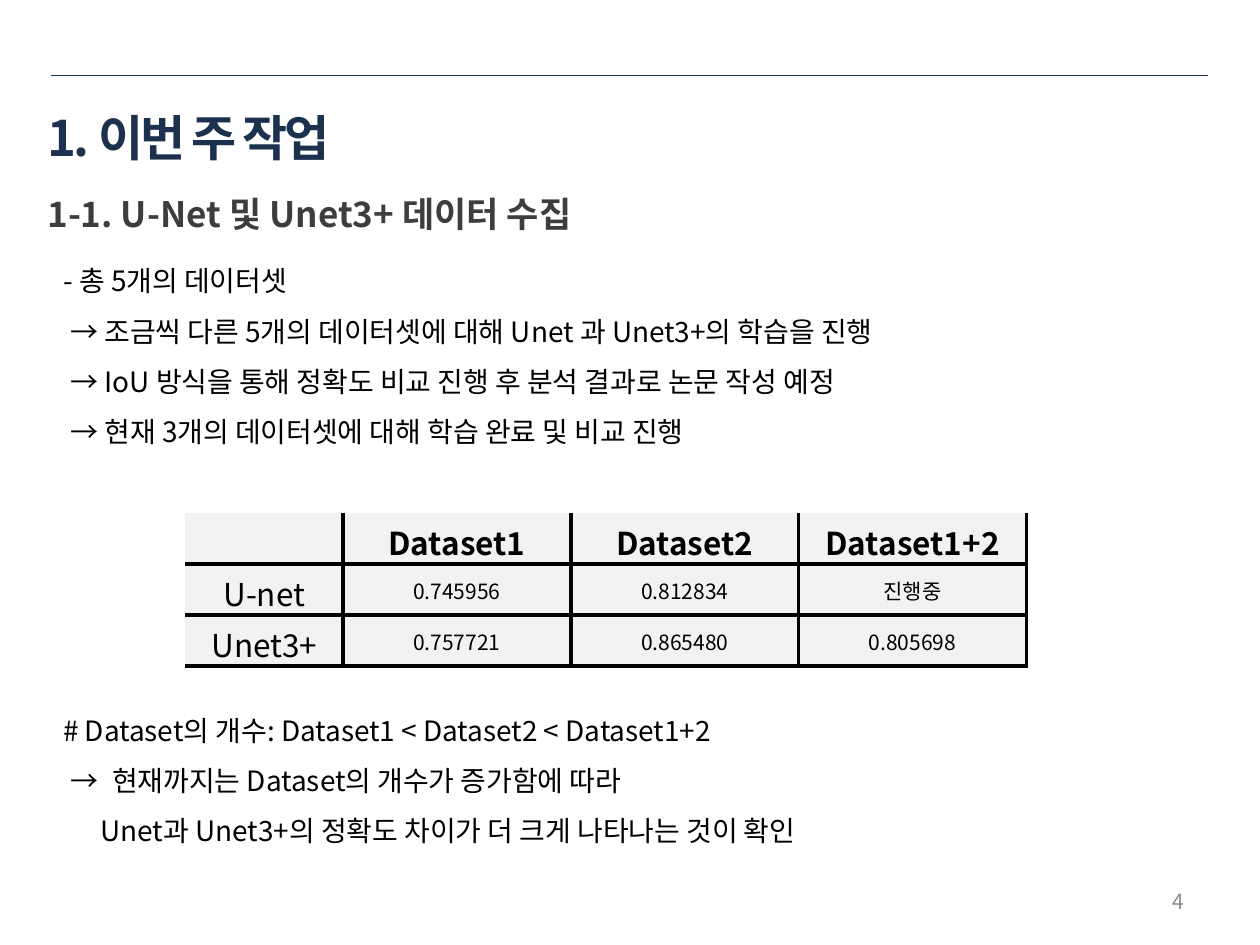
"""Build the weekly progress slide comparing U-Net and Unet3+ accuracy."""
from dataclasses import dataclass

from lxml.etree import SubElement
from pptx import Presentation
from pptx.dml.color import RGBColor
from pptx.enum.shapes import MSO_CONNECTOR
from pptx.enum.text import MSO_ANCHOR, MSO_AUTO_SIZE, PP_ALIGN
from pptx.oxml import parse_xml
from pptx.oxml.ns import nsdecls, qn
from pptx.util import Pt


@dataclass(frozen=True)
class Theme:
    font: str = "Noto Sans CJK KR"
    navy: str = "1C314E"
    heading: str = "3D3C3E"
    black: str = "000000"
    muted: str = "8C8C8C"
    cell: str = "F2F2F2"
    title_size: float = 28
    heading_size: float = 20
    table_size: float = 18
    body_size: float = 16
    small_size: float = 12
    border: float = 2.25
    rule: float = 0.25


THEME = Theme()
FINDINGS = [
    ("- 총 5개의 데이터셋", 0, 0),
    ("→ 조금씩 다른 5개의 데이터셋에 대해 Unet 과 Unet3+의 학습을 진행", 4, 0),
    ("→ IoU 방식을 통해 정확도 비교 진행 후 분석 결과로 논문 작성 예정", 4, 0),
    ("→ 현재 3개의 데이터셋에 대해 학습 완료 및 비교 진행", 4, 0),
]
CONCLUSIONS = [
    ("# Dataset의 개수: Dataset1 < Dataset2 < Dataset1+2", 0, 0),
    ("→\t현재까지는 Dataset의 개수가 증가함에 따라", 28, -24),
    ("Unet과 Unet3+의 정확도 차이가 더 크게 나타나는 것이 확인", 21.5, 0),
]
SCORES = [
    ["", "Dataset1", "Dataset2", "Dataset1+2"],
    ["U-net", "0.745956", "0.812834", "진행중"],
    ["Unet3+", "0.757721", "0.865480", "0.805698"],
]


def add_run(p, text, size, color, bold=False):
    r = p.add_run()
    r.text = text
    r.font.name = THEME.font
    r.font.size = Pt(size)
    r.font.bold = bold
    r.font.color.rgb = RGBColor.from_string(color)
    SubElement(r.font._element, qn("a:ea"), typeface=THEME.font)
    return r


def place(sp, left, top, width, height):
    sp.left, sp.top, sp.width, sp.height = map(Pt, (left, top, width, height))
    sp.text_frame.word_wrap = True
    sp.text_frame.auto_size = MSO_AUTO_SIZE.NONE
    return sp.text_frame


def add_text_box(s, *box):
    return place(s.shapes.add_textbox(0, 0, 0, 0), *box)


def add_rule(s):
    line = s.shapes.add_connector(MSO_CONNECTOR.STRAIGHT, Pt(29), Pt(43), Pt(690.5), Pt(43))
    line.line.color.rgb = RGBColor.from_string(THEME.navy)
    line.line.width = Pt(THEME.rule)
    SubElement(line._element.spPr, qn("a:effectLst"))


def fill_title(s, text):
    tf = place(s.shapes.title, 20, 55.5, 551, 46)
    tf.vertical_anchor = MSO_ANCHOR.MIDDLE
    p = tf.paragraphs[0]
    p.alignment = PP_ALIGN.LEFT
    r = add_run(p, text, THEME.title_size, THEME.navy, bold=True)
    r.font._element.set("spc", "-150")


def fill_list(tf, items):
    tf.auto_size = MSO_AUTO_SIZE.SHAPE_TO_FIT_TEXT
    tf.vertical_anchor = MSO_ANCHOR.TOP
    for i, (text, margin, indent) in enumerate(items):
        p = tf.add_paragraph() if i else tf.paragraphs[0]
        p.line_spacing = 1.5
        p.space_before = Pt(0)
        pPr = p._p.get_or_add_pPr()
        pPr.set("marL", str(Pt(margin)))
        pPr.set("indent", str(Pt(indent)))
        SubElement(pPr, qn("a:buNone"))
        add_run(p, text, THEME.body_size, THEME.black)


def set_borders(cell, row, col):
    tcPr = cell._tc.get_or_add_tcPr()
    shown = {"lnL": col > 0, "lnR": True, "lnT": row > 0, "lnB": True}
    for i, (side, visible) in enumerate(shown.items()):
        paint = "<a:noFill/>"
        if visible:
            paint = f'<a:solidFill><a:srgbClr val="{THEME.black}"/></a:solidFill>'
        xml = f'<a:{side} {nsdecls("a")} w="{Pt(THEME.border)}">{paint}</a:{side}>'
        tcPr.insert(i, parse_xml(xml))


def fill_cell(cell, text, row, col):
    is_value = row > 0 and col > 0
    cell.fill.solid()
    cell.fill.fore_color.rgb = RGBColor.from_string(THEME.cell)
    set_borders(cell, row, col)
    if is_value:
        cell.vertical_anchor = MSO_ANCHOR.MIDDLE
        cell.margin_left = cell.margin_right = cell.margin_top = Pt(0.75)
        cell.margin_bottom = Pt(0)
    p = cell.text_frame.paragraphs[0]
    p.alignment = PP_ALIGN.CENTER
    if text:
        size = THEME.small_size if is_value else THEME.table_size
        add_run(p, text, size, THEME.black, bold=row == 0)


def add_score_table(s, rows):
    widths, height = [90, 130.2, 130.2, 130.2], 29.2
    table = s.shapes.add_table(len(rows), len(widths), Pt(106), Pt(293),
                               Pt(sum(widths)), Pt(height * len(rows))).table
    table.first_row = table.horz_banding = False
    for column, width in zip(table.columns, widths):
        column.width = Pt(width)
    for i, values in enumerate(rows):
        table.rows[i].height = Pt(height)
        for j, text in enumerate(values):
            fill_cell(table.cell(i, j), text, i, j)


def add_page_number(s, number):
    tf = add_text_box(s, 516, 500.5, 168, 29)
    tf.vertical_anchor = MSO_ANCHOR.MIDDLE
    p = tf.paragraphs[0]
    p.alignment = PP_ALIGN.RIGHT
    add_run(p, number, THEME.small_size, THEME.muted)


def main():
    prs = Presentation()
    prs.slide_width, prs.slide_height = Pt(720), Pt(540)
    s = prs.slides.add_slide(prs.slide_layouts[1])
    add_rule(s)
    fill_title(s, "1. 이번 주 작업")
    heading = add_text_box(s, 20, 106.5, 667, 100)
    add_run(heading.paragraphs[0], "1-1. U-Net 및 Unet3+ 데이터 수집",
            THEME.heading_size, THEME.heading, bold=True)
    fill_list(place(s.placeholders[1], 29, 137.5, 634, 121), FINDINGS)
    add_score_table(s, SCORES)
    fill_list(add_text_box(s, 29, 394.5, 634, 92), CONCLUSIONS)
    add_page_number(s, "4")
    prs.save("out.pptx")


if __name__ == "__main__":
    main()
